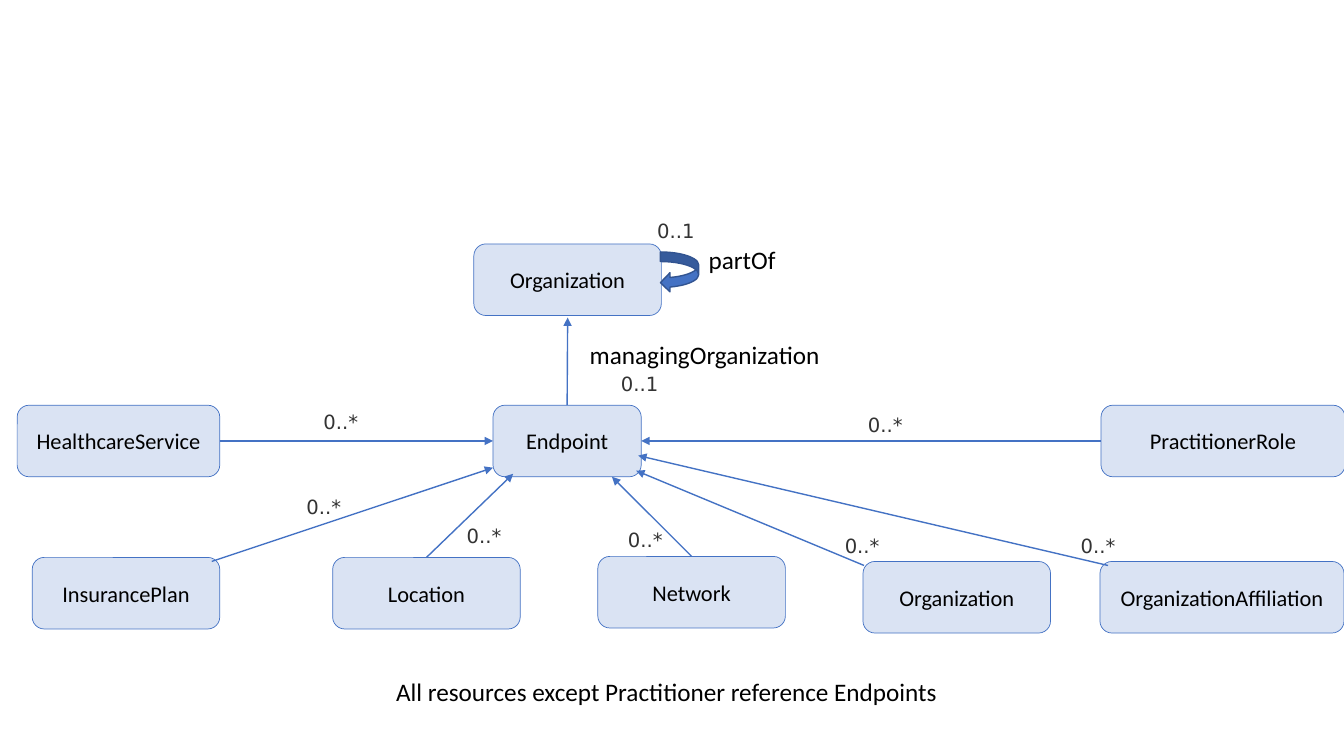
from lxml.etree import SubElement
from pptx import Presentation
from pptx.dml.color import RGBColor
from pptx.enum.shapes import MSO_CONNECTOR, MSO_SHAPE
from pptx.enum.text import MSO_ANCHOR, PP_ALIGN
from pptx.oxml.ns import qn
from pptx.util import Emu, Pt

EMU_PER_PX = 9144  # 100 px to the inch
TOP, LEFT, BOTTOM, RIGHT = range(4)


def px(n):
    return Emu(n * EMU_PER_PX)


def color(value):
    return RGBColor.from_string(value)


class Diagram:
    BLUE, DARK_BLUE, PALE = "4472C4", "325491", "DAE3F3"
    BLACK, GREY = "000000", "333333"
    FONT, COUNT_FONT = "Calibri", "DejaVu Sans"

    def __init__(self, slide):
        self.s = slide

    def shape(self, kind, x, y, w, h, fill, line, width):
        sp = self.s.shapes.add_shape(kind, px(x), px(y), px(w), px(h))
        sp.shadow.inherit = False
        sp.fill.solid()
        sp.fill.fore_color.rgb = color(fill)
        sp.line.color.rgb = color(line)
        sp.line.width = Pt(width)
        return sp

    def set_text(self, tf, text, size, font, ink, align=PP_ALIGN.LEFT):
        p = tf.paragraphs[0]
        p.text = text
        p.alignment = align
        p.font.size = Pt(size)
        p.font.name = font
        p.font.color.rgb = color(ink)

    def resource(self, text, x, y, w=186):
        sp = self.shape(MSO_SHAPE.ROUNDED_RECTANGLE, x, y, w, 71,
                        self.PALE, self.BLUE, 0.5)
        tf = sp.text_frame
        tf.word_wrap = True
        tf.vertical_anchor = MSO_ANCHOR.MIDDLE
        self.set_text(tf, text, 16, self.FONT, self.BLACK, PP_ALIGN.CENTER)
        return sp

    def loop(self, x, y, w, h):
        self.shape(MSO_SHAPE.CURVED_LEFT_ARROW, x, y, w, h,
                   self.BLUE, self.DARK_BLUE, 1)

    def label(self, text, x, y, w):
        tf = self.s.shapes.add_textbox(px(x), px(y), px(w), px(40)).text_frame
        tf.word_wrap = False
        self.set_text(tf, text, 18, self.FONT, self.BLACK)

    def count(self, text, x, y):
        tf = self.s.shapes.add_textbox(px(x), px(y), px(72), px(34)).text_frame
        tf.word_wrap = True
        self.set_text(tf, text, 14, self.COUNT_FONT, self.GREY)

    def arrow(self, start, end, source=None, target=None):
        """source and target are optional (shape, side) pairs to join."""
        c = self.s.shapes.add_connector(
            MSO_CONNECTOR.STRAIGHT, *(px(n) for n in start + end))
        c.line.color.rgb = color(self.BLUE)
        c.line.width = Pt(1)
        props = c._element.spPr
        SubElement(props.find(qn("a:ln")), qn("a:tailEnd"), type="triangle")
        SubElement(props, qn("a:effectLst"))
        if source:
            c.begin_connect(*source)
        if target:
            c.end_connect(*target)


def main():
    prs = Presentation()
    prs.slide_width, prs.slide_height = px(1333), px(750)
    d = Diagram(prs.slides.add_slide(prs.slide_layouts[6]))

    # Endpoint and its managing organization
    endpoint = d.resource("Endpoint", 489, 402, 147)
    d.resource("Organization", 470, 242)
    d.loop(655, 250, 38, 40)

    # Resources that refer to endpoints
    service = d.resource("HealthcareService", 17, 402, 201)
    role = d.resource("PractitionerRole", 1092, 402, 242)
    d.resource("InsurancePlan", 32, 553)
    location = d.resource("Location", 330, 553)
    network = d.resource("Network", 593, 552)
    d.resource("Organization", 856, 557)
    d.resource("OrganizationAffiliation", 1091, 557, 242)

    # References
    d.arrow((563, 402), (563, 315), source=(endpoint, TOP))
    d.arrow((218, 438), (489, 438), (service, RIGHT), (endpoint, LEFT))
    d.arrow((1092, 437), (636, 438), (role, LEFT), (endpoint, RIGHT))
    d.arrow((210, 557), (489, 464))
    d.arrow((423, 553), (509, 470), source=(location, TOP))
    d.arrow((686, 552), (607, 473), source=(network, TOP))
    d.arrow((857, 561), (631, 467))
    d.arrow((1099, 561), (633, 452))

    # Reference names and caption
    d.label("managingOrganization", 575, 332, 251)
    d.label("partOf", 693, 237, 87)
    d.label("All resources except Practitioner reference Endpoints",
            383, 666, 563)

    # Cardinalities
    for x, y in ((642, 212), (606, 364)):
        d.count("0..1", x, y)
    for x, y in ((311, 402), (851, 405), (294, 486), (453, 515),
                 (613, 519), (828, 525), (1062, 525)):
        d.count("0..*", x, y)

    prs.save("out.pptx")


if __name__ == "__main__":
    main()
